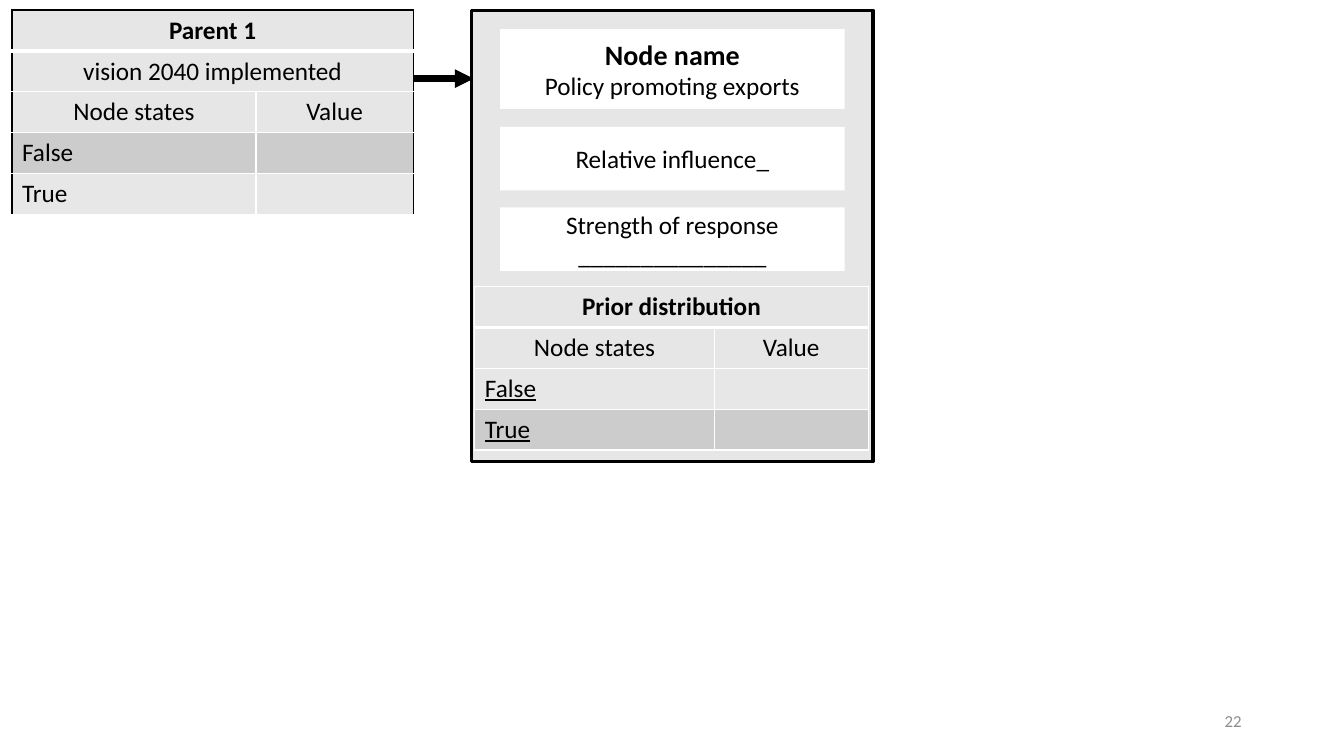
from lxml.etree import SubElement
from pptx import Presentation
from pptx.dml.color import RGBColor
from pptx.enum.shapes import MSO_CONNECTOR, MSO_SHAPE
from pptx.enum.text import MSO_ANCHOR, PP_ALIGN
from pptx.oxml import parse_xml
from pptx.oxml.ns import nsdecls, qn
from pptx.util import Pt

COLOURS = {
    "black": "000000",
    "white": "FFFFFF",
    "panel": "E7E6E6",
    "light": "E7E7E7",
    "dark": "CCCCCC",
    "number": "8C8C8C",
}
ROW_HEIGHT = 29.2


def colour(name):
    return RGBColor.from_string(COLOURS[name])


def write(paragraph, text, size=18, bold=False, underline=False,
          align=PP_ALIGN.CENTER, ink="black"):
    paragraph.text = text
    paragraph.alignment = align
    for span in paragraph.runs:
        span.font.name = "Calibri"
        span.font.size = Pt(size)
        span.font.bold = bold
        span.font.underline = underline
        span.font.color.rgb = colour(ink)


def add_rectangle(page, left, top, width, height, fill):
    box = page.shapes.add_shape(MSO_SHAPE.RECTANGLE, Pt(left), Pt(top), Pt(width), Pt(height))
    box.shadow.inherit = False
    box.fill.solid()
    box.fill.fore_color.rgb = colour(fill)
    box.line.fill.background()
    return box


def add_label(page, left, top, width, height, lines):
    box = add_rectangle(page, left, top, width, height, "white")
    frame = box.text_frame
    frame.word_wrap = True
    frame.vertical_anchor = MSO_ANCHOR.MIDDLE
    frame.text = "\n".join(text for text, size, bold in lines)
    for paragraph, (text, size, bold) in zip(frame.paragraphs, lines):
        write(paragraph, text, size, bold)


def set_borders(cell, borders):
    properties = cell._tc.get_or_add_tcPr()
    for index, (side, (name, width)) in enumerate(borders.items()):
        properties.insert(index, parse_xml(
            f'<a:ln{side} {nsdecls("a")} w="{Pt(width)}"><a:solidFill>'
            f'<a:srgbClr val="{COLOURS[name]}"/></a:solidFill></a:ln{side}>'))


def add_state_table(page, left, top, widths, headings, state_fills, outer, underline=False):
    rows = [(heading, "") for heading in headings]
    rows += [("Node states", "Value"), ("False", ""), ("True", "")]
    fills = ["panel"] * (len(headings) + 1) + state_fills
    table = page.shapes.add_table(len(rows), 2, Pt(left), Pt(top), Pt(sum(widths)),
                                  Pt(ROW_HEIGHT * len(rows))).table
    for column, width in zip(table.columns, widths):
        column.width = Pt(width)
    for row_index, texts in enumerate(rows):
        table.rows[row_index].height = Pt(ROW_HEIGHT)
        is_state = row_index > len(headings)
        if row_index < len(headings):
            table.cell(row_index, 0).merge(table.cell(row_index, 1))
        for column_index, text in enumerate(texts):
            cell = table.cell(row_index, column_index)
            cell.fill.solid()
            cell.fill.fore_color.rgb = colour(fills[row_index])
            write(cell.text_frame.paragraphs[0], text, bold=row_index == 0,
                  underline=is_state and underline,
                  align=PP_ALIGN.LEFT if is_state else PP_ALIGN.CENTER)
            borders = {
                "L": (outer if column_index == 0 else "white", 1),
                "R": (outer if column_index == 1 or cell.is_merge_origin else "white", 1),
                "T": (outer, 1) if row_index == 0 else ("white", 3 if row_index == 1 else 1),
                "B": ("white", 3 if row_index == 0 else 1),
            }
            if cell.is_spanned:
                del borders["L"]
            set_borders(cell, borders)


def add_arrow(page, left, top, right, bottom):
    arrow = page.shapes.add_connector(MSO_CONNECTOR.ELBOW, Pt(left), Pt(bottom),
                                      Pt(right), Pt(top))
    arrow.line.color.rgb = colour("black")
    arrow.line.width = Pt(4.5)
    SubElement(arrow.line._get_or_add_ln(), qn("a:tailEnd"), type="triangle")
    SubElement(arrow._element.spPr, qn("a:effectLst"))


def add_node_panel(page, left, top, width, height):
    panel = add_rectangle(page, left, top, width, height, "panel")
    panel.line.color.rgb = colour("black")
    panel.line.width = Pt(2.25)
    labels = [
        (13.7, 56.9, [("Node name", 20, True), ("Policy promoting exports", 18, False)]),
        (83.5, 45.4, [("Relative influence_", 18, False)]),
        (140.9, 45.4, [("Strength of response", 18, False), ("_______________", 18, False)]),
    ]
    for offset, label_height, lines in labels:
        add_label(page, left + 20.2, top + offset, width - 40.4, label_height, lines)
    add_state_table(page, left + 2.2, top + 197.5, [171, 110], ["Prior distribution"],
                    ["light", "dark"], "white", underline=True)


def add_page_number(page, left, top, width, height):
    box = page.shapes.add_textbox(Pt(left), Pt(top), Pt(width), Pt(height))
    box.text_frame.word_wrap = True
    box.text_frame.vertical_anchor = MSO_ANCHOR.MIDDLE
    write(box.text_frame.paragraphs[0], "22", 12, align=PP_ALIGN.RIGHT, ink="number")


def main():
    deck = Presentation()
    deck.slide_width, deck.slide_height = Pt(960), Pt(540)
    page = deck.slides.add_slide(deck.slide_layouts[6])
    add_arrow(page, 225.4, 56.2, 338.4, 61.2)
    add_node_panel(page, 337, 7.2, 286.6, 322.6)
    add_state_table(page, 8.6, 7.2, [174.3, 112.3], ["Parent 1", "vision 2040 implemented"],
                    ["dark", "light"], "black")
    add_page_number(page, 678, 500.5, 216, 28.8)
    deck.save("out.pptx")


if __name__ == "__main__":
    main()
